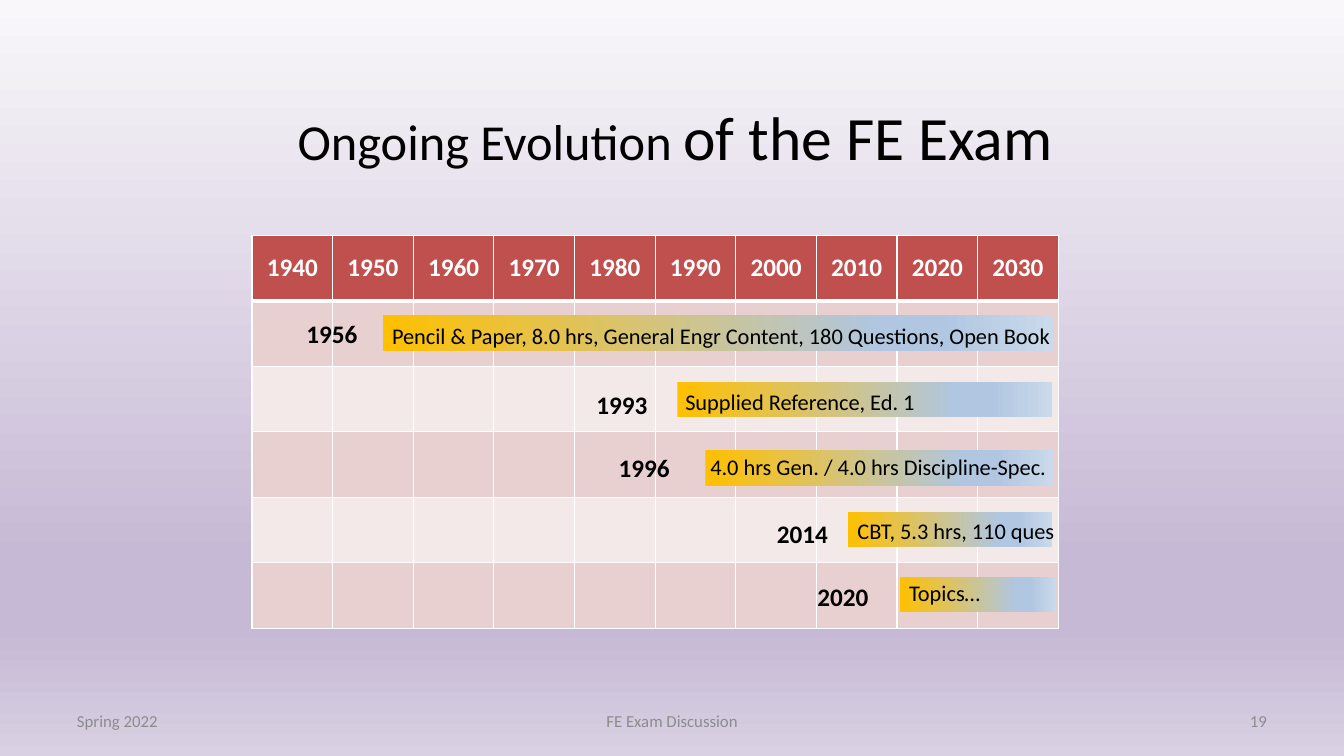
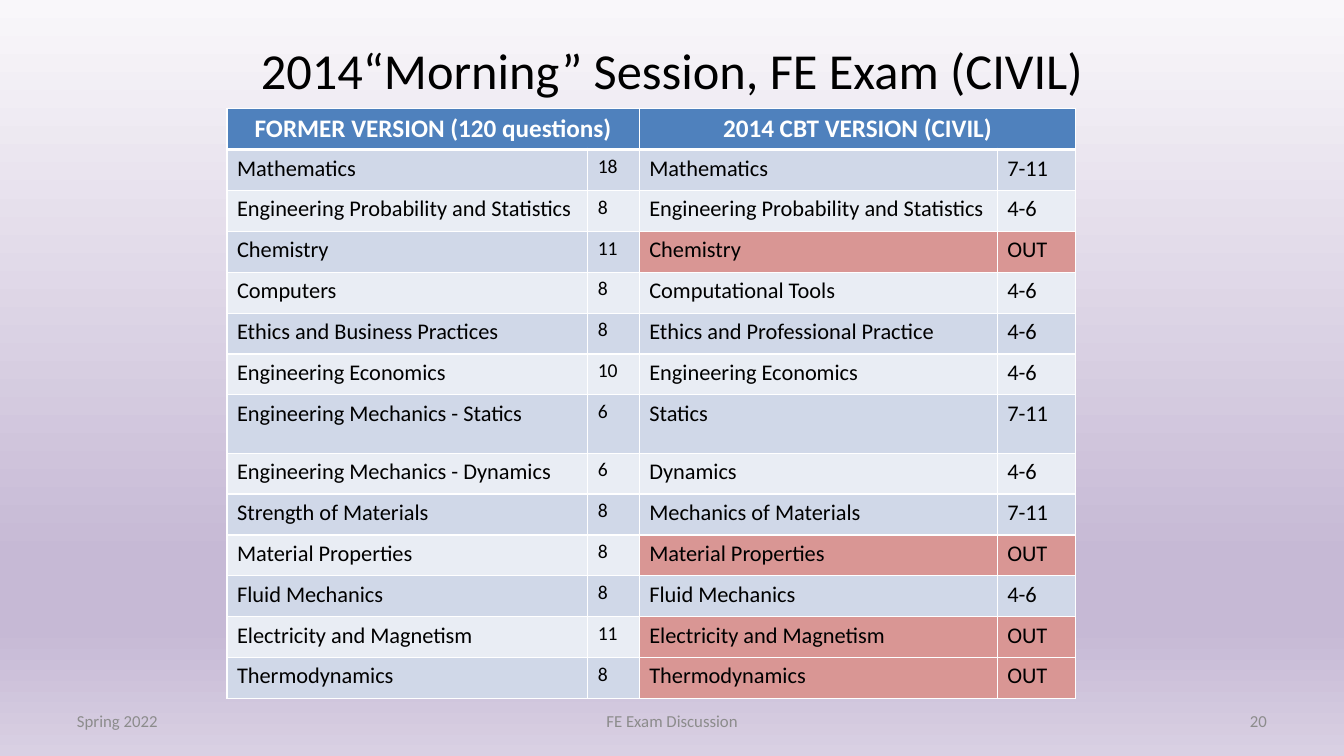
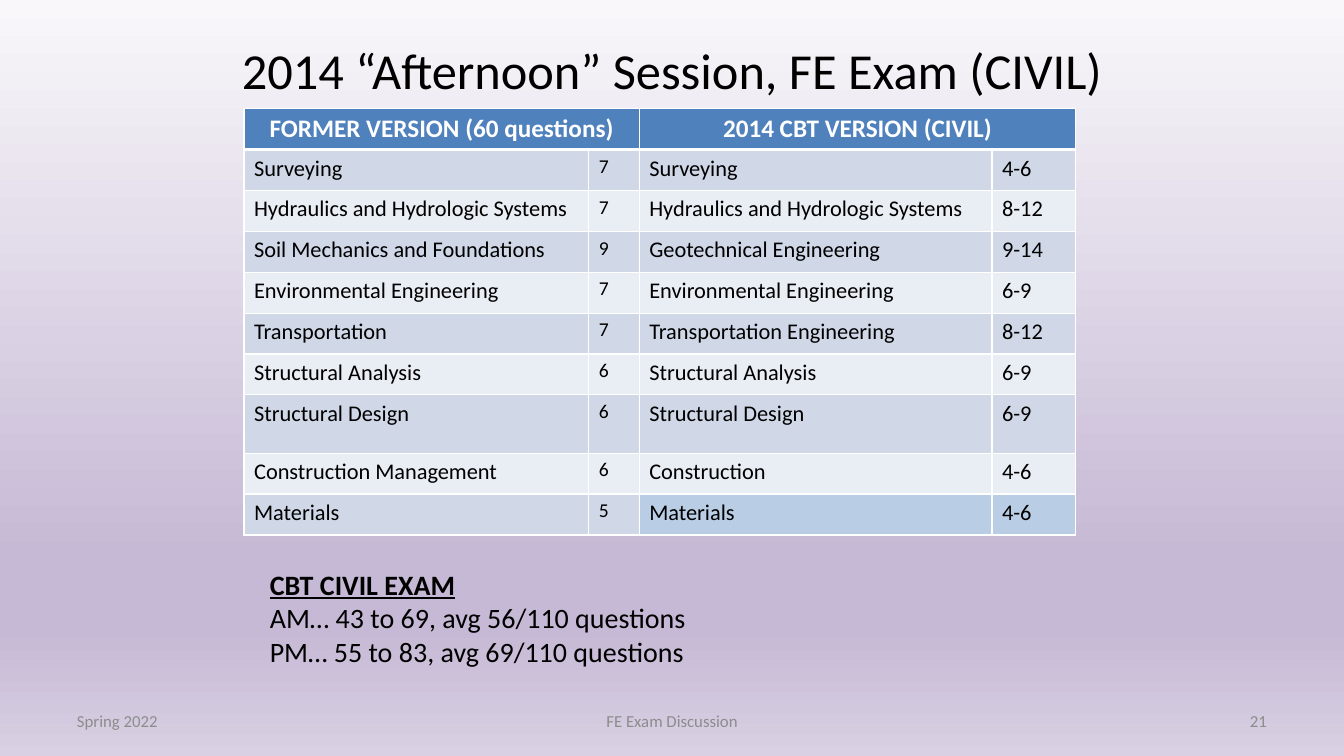
from copy import deepcopy

from pptx import Presentation
from pptx.dml.color import RGBColor
from pptx.enum.shapes import MSO_SHAPE as Preset
from pptx.enum.text import MSO_ANCHOR as Anchor, MSO_AUTO_SIZE as AutoSize, PP_ALIGN as Align
from pptx.oxml import parse_xml
from pptx.oxml.ns import nsdecls
from pptx.util import Cm, Pt

FONT = "Calibri"
BLACK = RGBColor(0x00, 0x00, 0x00)
WHITE = RGBColor(0xFF, 0xFF, 0xFF)
GRAY = RGBColor(0x8C, 0x8C, 0x8C)
RED = RGBColor(0xC0, 0x50, 0x4D)
PINK = RGBColor(0xE8, 0xD0, 0xD0)
PALE_PINK = RGBColor(0xF4, 0xE9, 0xE9)
BLUE = RGBColor(0x4F, 0x81, 0xBD)
BLUE_GRAY = RGBColor(0xD0, 0xD8, 0xE8)
PALE_BLUE = RGBColor(0xE9, 0xED, 0xF4)
ROSE = RGBColor(0xD9, 0x96, 0x94)
SKY = RGBColor(0xB9, 0xCD, 0xE5)
PURPLE = RGBColor(0xC6, 0xB9, 0xD5)
STEEL = RGBColor(0xB0, 0xC6, 0xE1)

STOPS = (0, 0.74, 0.83, 1)
PAGE_SHADES = (RGBColor(0xF9, 0xF7, 0xFA), PURPLE, PURPLE, RGBColor(0xD9, 0xD0, 0xE3))
BAR_SHADES = (RGBColor(0xFF, 0xC0, 0x00), STEEL, STEEL, RGBColor(0xCA, 0xD9, 0xEB))


def add_span(para, text, size, color=BLACK, bold=False):
    span = para.add_run()
    span.text = text
    span.font.name = FONT
    span.font.size = Pt(size)
    span.font.color.rgb = color
    span.font.bold = bold
    return span


def style_cell(cell, color, row):
    """Fill a cell and rule it in white, with a thick line under the header."""
    widths = {"L": 1, "R": 1, "T": 3 if row == 1 else 1, "B": 3 if row == 0 else 1}
    for side, width in widths.items():
        cell._tc.get_or_add_tcPr().append(parse_xml(
            f'<a:ln{side} {nsdecls("a")} w="{Pt(width)}"><a:solidFill>'
            f'<a:srgbClr val="{WHITE}"/></a:solidFill></a:ln{side}>'))
    cell.fill.solid()
    cell.fill.fore_color.rgb = color


deck = Presentation()
deck.slide_width, deck.slide_height = Cm(33.87), Cm(19.05)
gradients = [(deck.slide_master.background.fill, PAGE_SHADES, 270)]

# Titles and footers: title box, then title spans with their sizes
titles = [
    ((5.59, 1.83, 22.86, 3.17), [("Ongoing Evolution ", 36), ("of the FE Exam", 44)]),
    ((5.51, 0.76, 22.86, 1.98), [("2014“Morning” Session, FE Exam (CIVIL)", 36)]),
    ((5.51, 0.76, 22.86, 1.98), [("2014 “Afternoon” Session, FE Exam (CIVIL)", 36)]),
]
pages = []
for number, (place, spans) in enumerate(titles, start=19):
    page = deck.slides.add_slide(deck.slide_layouts[5])
    pages.append(page)
    title = page.shapes.title
    title.left, title.top, title.width, title.height = map(Cm, place)
    title.text_frame.vertical_anchor = Anchor.MIDDLE
    para = title.text_frame.paragraphs[0]
    para.alignment = Align.CENTER
    for text, size in spans:
        add_span(para, text, size)
    for left, width, align, text in (
        (1.69, 7.9, Align.LEFT, "Spring 2022"),
        (11.58, 10.72, Align.CENTER, "FE Exam Discussion"),
        (24.28, 7.9, Align.RIGHT, str(number)),
    ):
        box = page.shapes.add_textbox(Cm(left), Cm(17.65), Cm(width), Cm(1.02))
        box.text_frame.word_wrap = True
        box.text_frame.vertical_anchor = Anchor.MIDDLE
        para = box.text_frame.paragraphs[0]
        para.alignment = align
        add_span(para, text, 12, GRAY)

# Timeline grid
timeline = pages[0]
grid = timeline.shapes.add_table(6, 10, Cm(6.35), Cm(5.93), Cm(20.32), Cm(9.9)).table
for row in range(6):
    grid.rows[row].height = Cm(1.65)
    for column in range(10):
        cell = grid.cell(row, column)
        style_cell(cell, RED if row == 0 else PINK if row % 2 else PALE_PINK, row)
        if row == 0:
            cell.vertical_anchor = Anchor.MIDDLE
            para = cell.text_frame.paragraphs[0]
            para.alignment = Align.CENTER
            add_span(para, str(1940 + 10 * column), 18, WHITE, True)

# Timeline bars: year and its place, bar left, top and width, label and its place
eras = [
    ("1956", 7.47, 7.9, 9.65, 7.95, 16.89,
     "Pencil & Paper, 8.0 hrs, General Engr Content, 180 Questions, Open Book", 9.63, 8, 17.45),
    ("1993", 14.78, 9.68, 17.07, 9.63, 9.45, "Supplied Reference, Ed. 1", 17.02, 9.65, 6.5),
    ("1996", 15.34, 11.28, 17.78, 11.35, 8.76,
     "4.0 hrs Gen. / 4.0 hrs Discipline-Spec.", 17.65, 11.3, 9.07),
    ("2014", 19.33, 12.93, 21.36, 12.9, 5.16, "CBT, 5.3 hrs, 110 ques", 21.36, 12.9, 5.79),
    ("2020", 20.35, 14.53, 22.68, 14.53, 3.94, "Topics…", 22.66, 14.48, 2.36),
]
for (year, year_left, year_top, bar_left, bar_top, bar_width,
     label, label_left, label_top, label_width) in eras:
    bar = timeline.shapes.add_shape(
        Preset.RECTANGLE, Cm(bar_left), Cm(bar_top), Cm(bar_width), Cm(0.89))
    bar.shadow.inherit = False
    bar.line.fill.background()
    gradients.append((bar.fill, BAR_SHADES, 0))
    for text, left, top, width, height, size, bold in (
        (year, year_left, year_top, 1.8, 1.02, 18, True),
        (label, label_left, label_top, label_width, 0.94, 16, False),
    ):
        box = timeline.shapes.add_textbox(Cm(left), Cm(top), Cm(width), Cm(height))
        box.text_frame.word_wrap = False
        box.text_frame.auto_size = AutoSize.SHAPE_TO_FIT_TEXT
        add_span(box.text_frame.paragraphs[0], text, size, bold=bold)

# Session tables: former topic, questions, new topic, questions
morning = [
    ("Mathematics", "18", "Mathematics", "7-11"),
    ("Engineering Probability and Statistics", "8",
     "Engineering Probability and Statistics", "4-6"),
    ("Chemistry", "11", "Chemistry", "OUT"),
    ("Computers", "8", "Computational Tools", "4-6"),
    ("Ethics and Business Practices", "8", "Ethics and Professional Practice", "4-6"),
    ("Engineering Economics", "10", "Engineering Economics", "4-6"),
    ("Engineering Mechanics - Statics", "6", "Statics", "7-11"),
    ("Engineering Mechanics - Dynamics", "6", "Dynamics", "4-6"),
    ("Strength of Materials", "8", "Mechanics of Materials", "7-11"),
    ("Material Properties", "8", "Material Properties", "OUT"),
    ("Fluid Mechanics", "8", "Fluid Mechanics", "4-6"),
    ("Electricity and Magnetism", "11", "Electricity and Magnetism", "OUT"),
    ("Thermodynamics", "8", "Thermodynamics", "OUT"),
]
afternoon = [
    ("Surveying", "7", "Surveying", "4-6"),
    ("Hydraulics and Hydrologic Systems", "7", "Hydraulics and Hydrologic Systems", "8-12"),
    ("Soil Mechanics and Foundations", "9", "Geotechnical Engineering", "9-14"),
    ("Environmental Engineering", "7", "Environmental Engineering", "6-9"),
    ("Transportation", "7", "Transportation Engineering", "8-12"),
    ("Structural Analysis", "6", "Structural Analysis", "6-9"),
    ("Structural Design", "6", "Structural Design", "6-9"),
    ("Construction Management", "6", "Construction", "4-6"),
    ("Materials", "5", "Materials", "4-6"),
]
for page, left, widths, total, topics in (
    (pages[1], 5.72, (9.09, 1.3, 9.02, 1.98), 120, morning),
    (pages[2], 6.15, (8.69, 1.27, 8.89, 2.11), 60, afternoon),
):
    header = (f"FORMER VERSION ({total} questions)", "", "2014 CBT VERSION (CIVIL)", "")
    heights = [1.47 if row == 7 else 1.03 for row in range(len(topics) + 1)]
    table = page.shapes.add_table(
        len(heights), 4, Cm(left), Cm(2.74), Cm(sum(widths)), Cm(sum(heights))).table
    for column, width in enumerate(widths):
        table.columns[column].width = Cm(width)
    for row, texts in enumerate([header] + topics):
        table.rows[row].height = Cm(heights[row])
        for column, text in enumerate(texts):
            color = BLUE if row == 0 else BLUE_GRAY if row % 2 else PALE_BLUE
            if column > 1 and texts[3] == "OUT":
                color = ROSE
            elif column > 1 and texts[2] == "Materials":
                color = SKY
            cell = table.cell(row, column)
            style_cell(cell, color, row)
            para = cell.text_frame.paragraphs[0]
            if row > 0:
                add_span(para, text, 14 if column == 1 else 16)
            elif text:
                para.alignment = Align.CENTER
                add_span(para, text, 18, WHITE, True)
    for column in (0, 2):
        table.cell(0, column).merge(table.cell(0, column + 1))

# Question totals under the afternoon table
box = pages[2].shapes.add_textbox(Cm(6.55), Cm(14.17), Cm(11.4), Cm(2.82))
frame = box.text_frame
frame.word_wrap = False
frame.auto_size = AutoSize.SHAPE_TO_FIT_TEXT
add_span(frame.paragraphs[0], "CBT CIVIL EXAM", 20, bold=True).font.underline = True
for text in ("AM… 43 to 69, avg 56/110 questions", "PM… 55 to 83, avg 69/110 questions"):
    add_span(frame.add_paragraph(), text, 20)

# Four-stop gradients of the background and the bars
for fill, shades, angle in gradients:
    fill.gradient()
    fill.gradient_angle = angle
    first = fill.gradient_stops[0]._gs
    for _ in range(2):
        first.addnext(deepcopy(first))
    for stop, position, shade in zip(fill.gradient_stops, STOPS, shades):
        stop.position = position
        stop.color.rgb = shade

deck.save("out.pptx")
